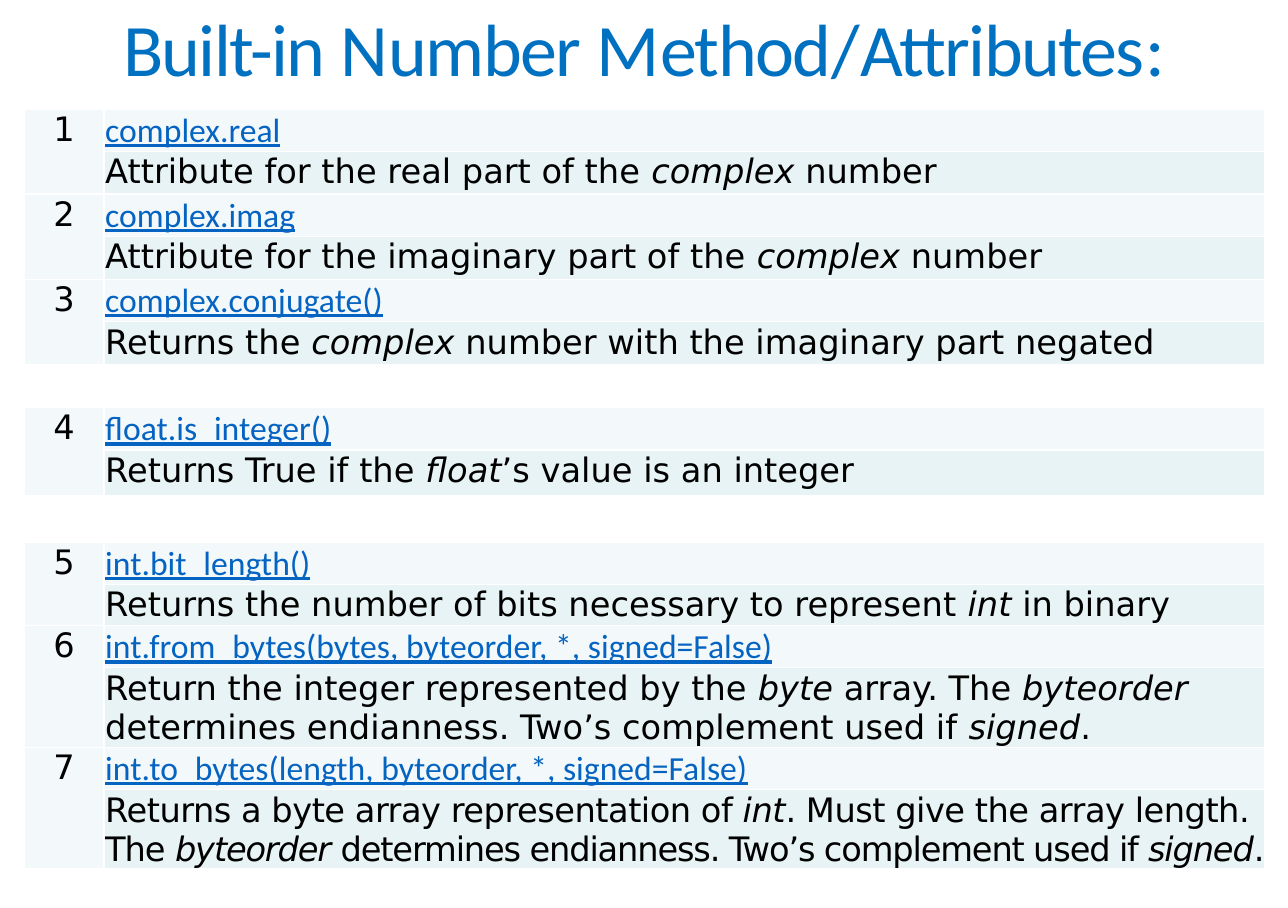
import pptx
import pptx.dml.color
import pptx.enum.text
import pptx.util
import lxml.etree

Pt = pptx.util.Pt
CENTER = pptx.enum.text.PP_ALIGN.CENTER
NAME_FILL, DESCRIPTION_FILL, WHITE = "F3F9FA", "E7F3F4", "FFFFFF"
NAME_HEIGHT = 25.2
INSET = 0.72

TITLE = [
    ("Built-in", 44, -1), (" ", 40, -1), ("N", 44, -2), ("umber", 44, -1), (" ", 40, -1),
    ("M", 44, -4), ("ethod", 44, -1), ("/", 44, -4), ("Attributes", 44, -1), (":", 44, 0),
]

# Each entry: name, description parts with letter spacing (*italic*), height, gap below.
ENTRIES = [
    ("complex.real", [("Attribute for the real part of the *complex* number", 0)], 25.4, 0),
    ("complex.imag", [("Attribute for the imaginary part of the *complex* number", 0)], 25.4, 0),
    ("complex.conjugate()",
     [("Returns the *complex *number with the imaginary part negated", 0)], 25.4, 25.6),
    ("float.is_integer()", [("Returns True if the *float*’s value is an integer", 0)], 27.4, 27.4),
    ("int.bit_length()",
     [("Returns the number of bits necessary to represent *int* in binary", 0)], 24.4, 0),
    ("int.from_bytes(bytes, byteorder, *, signed=False)",
     [("Return the integer represented by the *byte* array. The *byteorder* determines "
       "endianness. Two’s complement used if *signed*.", 0)], 47.3, 0),
    ("int.to_bytes(length, byteorder, *, signed=False)",
     [("Returns a byte array representation of *int*. Must give the array length. ", -0.3),
      ("The *byteorder* determines endianness. Two’s complement used if *signed*.", -0.7)],
     47.3, 0),
]


def color(value):
    """Turn a hex string into a colour."""
    return pptx.dml.color.RGBColor.from_string(value)


def add_run(paragraph, text, size, font, ink, spacing=0):
    """Add a formatted run and return it."""
    run = paragraph.add_run()
    run.text = text
    run.font.size = Pt(size)
    run.font.name = font
    run.font.color.rgb = color(ink)
    if spacing:
        run._r.get_or_add_rPr().set("spc", str(round(spacing * 100)))
    return run


def style_cell(cell, fill):
    """Give a cell its insets, white borders and fill."""
    cell.margin_left = cell.margin_top = Pt(INSET)
    cell.margin_right = cell.margin_bottom = 0
    properties = cell._tc.get_or_add_tcPr()
    namespace = properties.nsmap["a"]
    for side in ("lnL", "lnR", "lnT", "lnB"):
        border = lxml.etree.SubElement(properties, f"{{{namespace}}}{side}", w=str(Pt(1)))
        paint = lxml.etree.SubElement(border, f"{{{namespace}}}solidFill")
        lxml.etree.SubElement(paint, f"{{{namespace}}}srgbClr", val=WHITE)
    cell.fill.solid()
    cell.fill.fore_color.rgb = color(fill)


def add_title(slide, left, top, width, height):
    """Place the centred heading in its box."""
    heading = slide.shapes.add_textbox(Pt(left), Pt(top), Pt(width), Pt(height)).text_frame
    heading.word_wrap = False
    heading.vertical_anchor = pptx.enum.text.MSO_ANCHOR.MIDDLE
    line = heading.paragraphs[0]
    line.alignment = CENTER
    line.line_spacing = 0.9
    for text, size, spacing in TITLE:
        add_run(line, text, size, "Calibri", "0070C0", spacing)


def add_methods(slide, left, top, width, number_width):
    """Place the table of numbered methods and descriptions."""
    heights = []
    for name, description, height, gap in ENTRIES:
        heights += [NAME_HEIGHT, height] + ([gap] if gap else [])
    methods = slide.shapes.add_table(
        len(heights), 2, Pt(left), Pt(top), Pt(width), Pt(sum(heights))).table
    methods.first_row = methods.horz_banding = False
    methods.columns[0].width = Pt(number_width)
    methods.columns[1].width = Pt(width - number_width)
    for row, height in zip(methods.rows, heights):
        row.height = Pt(height)

    index = 0
    for number, (name, description, height, gap) in enumerate(ENTRIES, 1):
        number_cell, name_cell = methods.cell(index, 0), methods.cell(index, 1)
        description_cell = methods.cell(index + 1, 1)
        for cell, fill in ((number_cell, NAME_FILL), (methods.cell(index + 1, 0), NAME_FILL),
                           (name_cell, NAME_FILL), (description_cell, DESCRIPTION_FILL)):
            style_cell(cell, fill)
        number_cell.merge(methods.cell(index + 1, 0))
        number_cell.margin_left = 0
        number_line = number_cell.text_frame.paragraphs[0]
        number_line.alignment = CENTER
        add_run(number_line, str(number), 20, "DejaVu Sans", "000000")
        name_line = name_cell.text_frame.paragraphs[0]
        add_run(name_line, name, 20, "Calibri", "0563C1").font.underline = True
        description_line = description_cell.text_frame.paragraphs[0]
        for part, spacing in description:
            for position, text in enumerate(part.split("*")):
                run = add_run(description_line, text, 20, "DejaVu Sans", "000000", spacing)
                run.font.italic = position % 2 == 1
        index += 2
        if gap:
            for column in range(2):
                style_cell(methods.cell(index, column), WHITE)
            if number == 3:
                methods.cell(index, 0).merge(methods.cell(index, 1))
            index += 1


def main():
    """Build and save the slide."""
    deck = pptx.Presentation()
    deck.slide_width, deck.slide_height = Pt(766.08), Pt(540)
    slide = deck.slides.add_slide(deck.slide_layouts[6])
    add_methods(slide, 14.4, 64.8, 738, 47.5)
    add_title(slide, 0, 0, 766.08, 62.64)
    deck.save("out.pptx")


if __name__ == "__main__":
    main()
